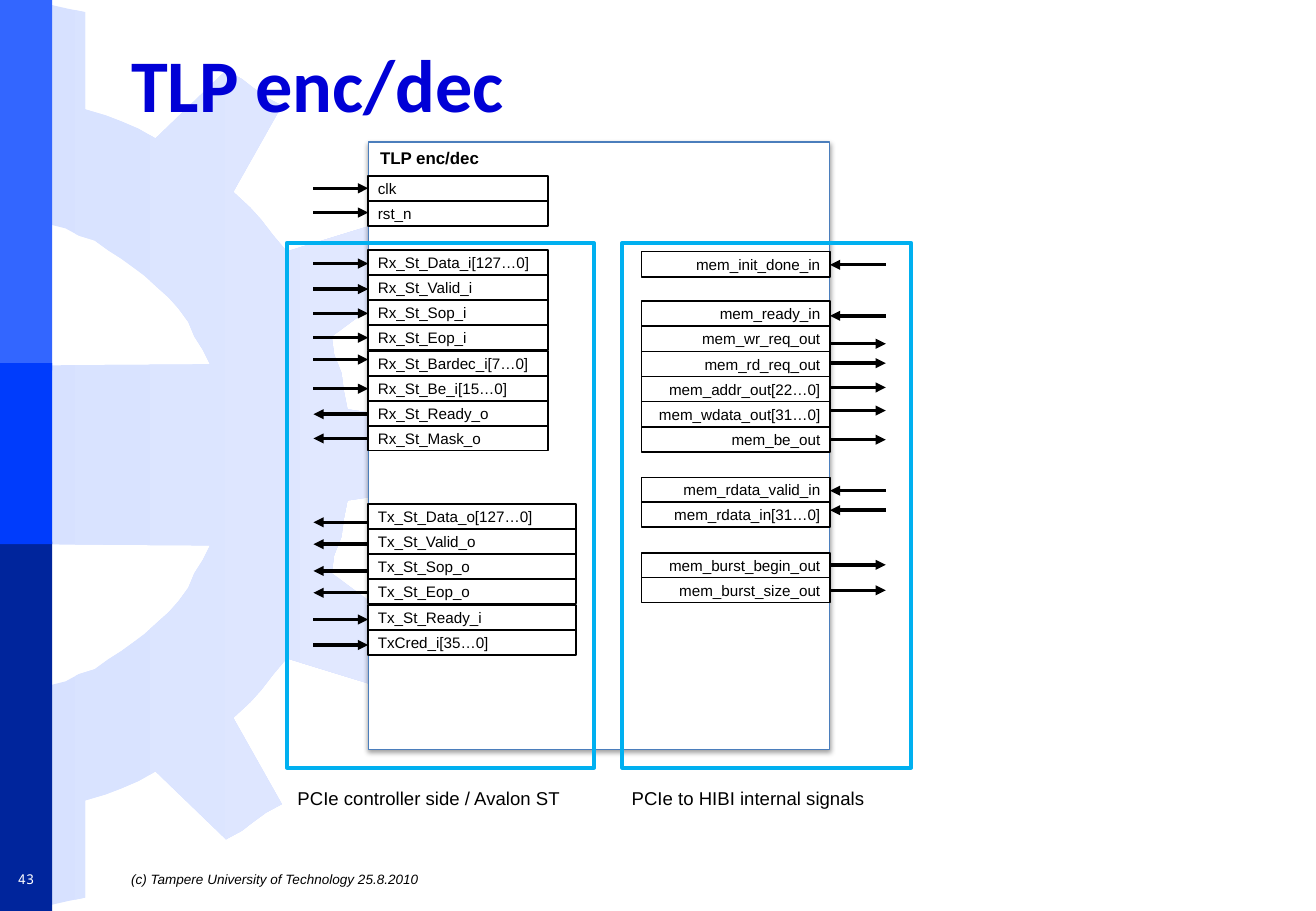
"""Draw the TLP enc/dec block with its signal pins on one slide."""
from dataclasses import dataclass
from lxml.etree import SubElement
from pptx import Presentation
from pptx.dml.color import RGBColor
from pptx.enum.shapes import MSO_CONNECTOR, MSO_SHAPE
from pptx.enum.text import MSO_ANCHOR, PP_ALIGN
from pptx.oxml.ns import qn
from pptx.util import Inches, Pt

COLS, ROWS = 1083, 750
CELL = Inches(0.01)

TITLE = ("TLP enc/dec", (98, 21, 939, 94))
LABELS = [
    ("(c) Tampere University of Technology 25.8.2010", (98, 711, 939, 26), "foot"),
    ("43", (0, 711, 43, 26), "page"),
    ("PCIe to HIBI internal signals", (510, 643, 220, 34), "note"),
    ("PCIe controller side / Avalon ST", (235, 643, 260, 34), "note"),
]
BANDS = [(0, 305, "sky"), (446, 304, "navy"), (299, 149, "blue")]
BLOCK = ("TLP enc/dec", (303, 117, 380, 500))
ZONES = [(236, 200, 253, 432), (512, 200, 238, 432)]

# Each group: side, top, width, height, then (signal, arrow row).
GROUPS = [
    ("left", 145, 148, 41, [("clk", 155), ("rst_n", 175)]),
    ("left", 206, 148, 82, [
        ("Rx_St_Data_i[127…0]", 217), ("Rx_St_Valid_i", 238),
        ("Rx_St_Sop_i", 258), ("Rx_St_Eop_i", 278)]),
    ("left", 289, 148, 82, [
        ("Rx_St_Bardec_i[7…0]", 296), ("Rx_St_Be_i[15…0]", 320),
        ("Rx_St_Ready_o", 341), ("Rx_St_Mask_o", 361)]),
    ("left", 415, 171, 82, [
        ("Tx_St_Data_o[127…0]", 430), ("Tx_St_Valid_o", 448),
        ("Tx_St_Sop_o", 470), ("Tx_St_Eop_o", 488)]),
    ("left", 498, 171, 41, [("Tx_St_Ready_i", 510), ("TxCred_i[35…0]", 531)]),
    ("right", 207, 155, 21, [("mem_init_done_in", 218)]),
    ("right", 248, 155, 124, [
        ("mem_ready_in", 260), ("mem_wr_req_out", 283),
        ("mem_rd_req_out", 299), ("mem_addr_out[22…0]", 319),
        ("mem_wdata_out[31…0]", 338), ("mem_be_out", 362)]),
    ("right", 393, 155, 41, [("mem_rdata_valid_in", 404), ("mem_rdata_in[31…0]", 420)]),
    ("right", 455, 155, 41, [("mem_burst_begin_out", 465), ("mem_burst_size_out", 486)]),
]
EDGE = {"left": (303, 258), "right": (683, 729)}

GEAR = [
    (0, 448), (173, 449), (167, 461), (160, 472), (155, 484), (147, 495),
    (139, 504), (130, 512), (119, 522), (111, 528), (100, 536), (89, 543),
    (78, 551), (65, 555), (54, 561), (42, 564), (28, 568), (14, 570),
    (14, 749), (29, 746), (42, 745), (55, 742), (70, 739), (70, 659),
    (87, 654), (100, 649), (114, 643), (128, 635), (186, 691), (199, 684),
    (208, 677), (219, 669), (232, 662), (192, 591), (206, 578), (215, 568),
    (225, 555), (236, 542), (314, 566), (320, 555), (327, 543), (333, 534),
    (338, 520), (273, 472), (275, 457), (281, 442), (282, 435), (283, 427),
    (286, 412), (367, 400), (370, 385), (370, 373),
]


@dataclass(frozen=True)
class Theme:
    white: str = "FFFFFF"
    black: str = "000000"
    head: str = "0000D6"
    sky: str = "3366FF"
    blue: str = "003CFC"
    navy: str = "00259C"
    rim: str = "4B7EBC"
    zone: str = "00B0F0"
    fade: tuple = ("D7E1FF", "E3EAFF")
    thin: float = 0.75
    pin: float = 1
    arrow: float = 2
    frame: float = 2.25


LOOK = Theme()
FONTS = {
    "title": dict(name="Calibri", size=Pt(44), bold=True),
    "foot": dict(name="Arial", size=Pt(8), italic=True),
    "page": dict(name="Noto Sans Mono", size=Pt(8)),
    "note": dict(name="Arial", size=Pt(11)),
    "block": dict(name="Arial", size=Pt(10), bold=True),
    "pin": dict(name="Arial", size=Pt(9)),
}
INKS = {"title": LOOK.head, "page": LOOK.white}
ANCHORS = {"note": MSO_ANCHOR.TOP, "block": MSO_ANCHOR.TOP}


def write(shape, text, kind, align=PP_ALIGN.LEFT):
    frame = shape.text_frame
    side, rise = (8, 0) if kind == "pin" else (10, 5)
    form = dict(word_wrap=True, margin_left=side * CELL, margin_right=side * CELL,
                margin_top=rise * CELL, margin_bottom=rise * CELL,
                vertical_anchor=ANCHORS.get(kind, MSO_ANCHOR.MIDDLE))
    for key, value in form.items():
        setattr(frame, key, value)
    line = frame.paragraphs[0]
    line.alignment = align
    run = line.add_run()
    run.text = text
    for key, value in FONTS[kind].items():
        setattr(run.font, key, value)
    run.font.color.rgb = RGBColor.from_string(INKS.get(kind, LOOK.black))


def label(slide, text, at, kind, align=PP_ALIGN.LEFT):
    write(slide.shapes.add_textbox(*(n * CELL for n in at)), text, kind, align)


def box(slide, at, fill=None, rim=None, width=0):
    shape = slide.shapes.add_shape(MSO_SHAPE.RECTANGLE, *(int(n * CELL) for n in at))
    shape.shadow.inherit = False
    if fill:
        shape.fill.solid()
        shape.fill.fore_color.rgb = RGBColor.from_string(fill)
    else:
        shape.fill.background()
    if rim:
        shape.line.color.rgb = RGBColor.from_string(rim)
        shape.line.width = Pt(width)
    else:
        shape.line.fill.background()
    return shape


def shade(shape):
    list_el = shape.element.spPr.find(qn("a:effectLst"))
    cast = SubElement(list_el, qn("a:outerShdw"), blurRad=str(Pt(3.1)),
                      dist=str(Pt(1.6)), dir="5400000", rotWithShape="0")
    tint = SubElement(cast, qn("a:srgbClr"), val=LOOK.black)
    SubElement(tint, qn("a:alpha"), val="38000")


def arrow(slide, start, end, row):
    line = slide.shapes.add_connector(
        MSO_CONNECTOR.STRAIGHT, start * CELL, row * CELL, end * CELL, row * CELL)
    line.line.color.rgb = RGBColor.from_string(LOOK.black)
    line.line.width = Pt(LOOK.arrow)
    props = line.element.spPr
    SubElement(props.find(qn("a:ln")), qn("a:tailEnd"), type="triangle")
    SubElement(props, qn("a:effectLst"))


def gear(slide):
    twin = [(x, GEAR[18][1] - y) for x, y in reversed(GEAR)]
    path = slide.shapes.build_freeform(*GEAR[0], scale=CELL)
    path.add_line_segments(GEAR[1:] + twin, close=True)
    shape = path.convert_to_shape()
    shape.shadow.inherit = False
    shape.line.fill.background()
    shape.fill.gradient()
    shape.fill.gradient_angle = 0
    for stop, tint, spot in zip(shape.fill.gradient_stops, LOOK.fade, (0, 1)):
        stop.color.rgb = RGBColor.from_string(tint)
        stop.position = spot


def pins(slide, side, top, width, height, rows):
    edge, tip = EDGE[side]
    left = edge if side == "left" else edge - width
    align = PP_ALIGN.LEFT if side == "left" else PP_ALIGN.RIGHT
    step = height / len(rows)
    for i, (name, row) in enumerate(rows):
        shape = box(slide, (left, top + i * step, width, step),
                    LOOK.white, LOOK.black, LOOK.pin)
        write(shape, name, "pin", align)
        leaves = name.split("[")[0].endswith(("_o", "_out"))
        arrow(slide, *((edge, tip) if leaves else (tip, edge)), row)


def main():
    deck = Presentation()
    deck.slide_width, deck.slide_height = COLS * CELL, ROWS * CELL
    slide = deck.slides.add_slide(deck.slide_layouts[6])
    gear(slide)
    for top, height, tint in BANDS:
        box(slide, (0, top, 43, height), getattr(LOOK, tint))
    label(slide, *TITLE, "title")
    block = box(slide, BLOCK[1], LOOK.white, LOOK.rim, LOOK.thin)
    shade(block)
    write(block, BLOCK[0], "block")
    for group in GROUPS:
        pins(slide, *group)
    for zone in ZONES:
        box(slide, zone, rim=LOOK.zone, width=LOOK.frame)
    for text, at, kind in LABELS:
        label(slide, text, at, kind, PP_ALIGN.CENTER if kind == "page" else PP_ALIGN.LEFT)
    deck.save("out.pptx")


if __name__ == "__main__":
    main()
